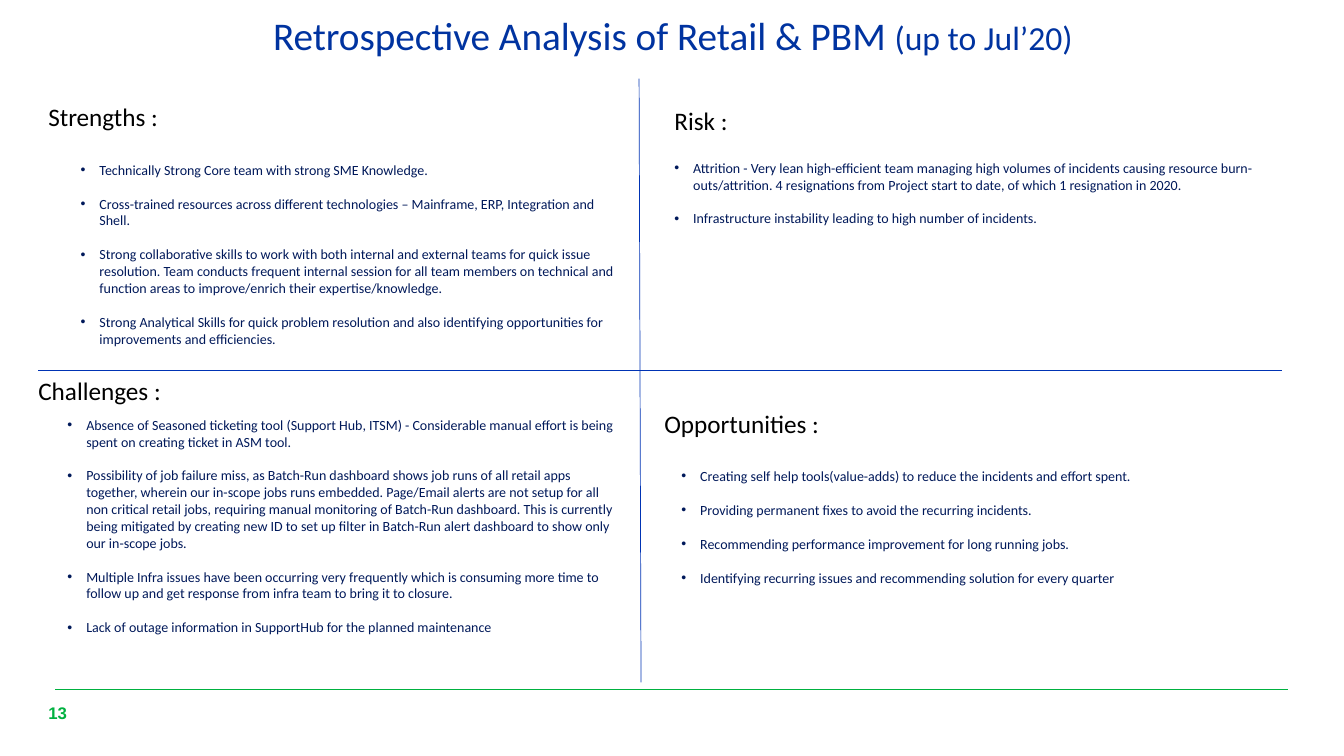
from dataclasses import dataclass

import pptx
import pptx.dml.color
import pptx.enum.shapes
import pptx.enum.text
import pptx.oxml.ns
import pptx.slide
import pptx.text.text
import pptx.util
from lxml import etree

Pt = pptx.util.Pt
RGBColor = pptx.dml.color.RGBColor

TITLE_BLUE = RGBColor(0x00, 0x33, 0xA0)
DIVIDER_BLUE = RGBColor(0x00, 0x33, 0xB4)
BODY_NAVY = RGBColor(0x00, 0x19, 0x5A)
HEADING_BLACK = RGBColor(0x00, 0x00, 0x00)
FOOTER_GREEN = RGBColor(0x00, 0xB1, 0x40)

BULLET_INDENT = Pt(13.5)
ITEM_GAP = Pt(12.2)


@dataclass(frozen=True)
class Box:
    left: float
    top: float
    width: float
    height: float


@dataclass(frozen=True)
class Quadrant:
    heading: str
    heading_box: Box
    items_box: Box
    items: tuple[str, ...]


@dataclass(frozen=True)
class Rule:
    start: tuple[float, float]
    end: tuple[float, float]
    color: RGBColor


QUADRANTS = (
    Quadrant(
        "Strengths :",
        Box(34.5, 72.7, 79, 22),
        Box(57.6, 115.2, 388, 158),
        (
            "Technically Strong Core team with strong SME Knowledge.",
            "Cross-trained resources across different technologies – Mainframe, ERP, "
            "Integration and Shell.",
            "Strong collaborative skills to work with both internal and external teams for "
            "quick issue resolution. Team conducts frequent internal session for all team "
            "members on technical and function areas to improve/enrich their "
            "expertise/knowledge.",
            "Strong Analytical Skills for quick problem resolution and also identifying "
            "opportunities for improvements and efficiencies.",
        ),
    ),
    Quadrant(
        "Risk :",
        Box(481.7, 75, 38, 22),
        Box(481.7, 113.7, 424, 73),
        (
            "Attrition - Very lean high-efficient team managing high volumes of incidents "
            "causing resource burn-outs/attrition. 4 resignations from Project start to "
            "date, of which 1 resignation in 2020.",
            "Infrastructure instability leading to high number of incidents.",
        ),
    ),
    Quadrant(
        "Challenges :",
        Box(27.4, 268, 89, 22),
        Box(48.2, 297.3, 393, 182),
        (
            "Absence of Seasoned ticketing tool (Support Hub, ITSM) - Considerable manual "
            "effort is being spent on creating ticket in ASM tool.",
            "Possibility of job failure miss, as Batch-Run dashboard shows job runs of all "
            "retail apps together, wherein our in-scope jobs runs embedded. Page/Email "
            "alerts are not setup for all non critical retail jobs, requiring manual "
            "monitoring of Batch-Run dashboard. This is currently being mitigated by "
            "creating new ID to set up filter in Batch-Run alert dashboard to show only "
            "our in-scope jobs.",
            "Multiple Infra issues have been occurring very frequently which is consuming "
            "more time to follow up and get response from infra team to bring it to closure.",
            "Lack of outage information in SupportHub for the planned maintenance",
        ),
    ),
    Quadrant(
        "Opportunities :",
        Box(474.5, 291.6, 112, 22),
        Box(486.7, 334, 388, 109),
        (
            "Creating self help tools(value-adds) to reduce the incidents and effort spent.",
            "Providing permanent fixes to avoid the recurring incidents.",
            "Recommending performance improvement for long running jobs.",
            "Identifying recurring issues and recommending solution for every quarter",
        ),
    ),
)

RULES = (
    Rule((39.6, 492.5), (920.2, 492.5), FOOTER_GREEN),
    Rule((456.5, 56.2), (457.9, 487.4), DIVIDER_BLUE),
    Rule((27.4, 264.2), (915.8, 264.2), DIVIDER_BLUE),
)


def clear_margins(frame: pptx.text.text.TextFrame) -> None:
    frame.margin_left = frame.margin_right = Pt(0)
    frame.margin_top = frame.margin_bottom = Pt(0)


def add_run(
    paragraph: pptx.text.text._Paragraph,
    text: str,
    size: float,
    color: RGBColor,
    font: str = "Calibri",
    bold: bool = False,
) -> None:
    run = paragraph.add_run()
    run.text = text
    run.font.size = Pt(size)
    run.font.name = font
    run.font.bold = bold
    run.font.color.rgb = color


def add_text_frame(
    slide: pptx.slide.Slide, box: Box, wrap: bool = True
) -> pptx.text.text.TextFrame:
    frame = slide.shapes.add_textbox(
        Pt(box.left), Pt(box.top), Pt(box.width), Pt(box.height)
    ).text_frame
    clear_margins(frame)
    frame.word_wrap = wrap
    return frame


def set_bullet(paragraph: pptx.text.text._Paragraph) -> None:
    properties = paragraph._p.get_or_add_pPr()
    properties.set("marL", str(BULLET_INDENT))
    properties.set("indent", str(-BULLET_INDENT))
    bullet_font = etree.SubElement(properties, pptx.oxml.ns.qn("a:buFont"))
    bullet_font.set("typeface", "Arial")
    etree.SubElement(properties, pptx.oxml.ns.qn("a:buChar")).set("char", "•")


def add_title(slide: pptx.slide.Slide) -> None:
    title = slide.shapes.title
    title.left, title.top, title.width, title.height = Pt(40.3), Pt(12.2), Pt(880.6), Pt(51.8)
    frame = title.text_frame
    clear_margins(frame)
    frame.word_wrap = True
    frame.auto_size = pptx.enum.text.MSO_AUTO_SIZE.NONE
    frame.vertical_anchor = pptx.enum.text.MSO_ANCHOR.TOP
    line = frame.paragraphs[0]
    line.alignment = pptx.enum.text.PP_ALIGN.CENTER
    line.line_spacing = 0.9
    add_run(line, "Retrospective Analysis of Retail & PBM ", 28, TITLE_BLUE)
    add_run(line, "(up to Jul’20)", 24, TITLE_BLUE)


def add_rule(slide: pptx.slide.Slide, rule: Rule) -> None:
    connector = slide.shapes.add_connector(
        pptx.enum.shapes.MSO_CONNECTOR.STRAIGHT, *map(Pt, rule.start + rule.end)
    )
    connector.line.color.rgb = rule.color
    connector.line.width = Pt(0.5)
    etree.SubElement(connector._element.spPr, pptx.oxml.ns.qn("a:effectLst"))


def add_quadrant(slide: pptx.slide.Slide, quadrant: Quadrant) -> None:
    heading = add_text_frame(slide, quadrant.heading_box, wrap=False)
    add_run(heading.paragraphs[0], quadrant.heading, 18, HEADING_BLACK)
    body = add_text_frame(slide, quadrant.items_box)
    for index, item in enumerate(quadrant.items):
        paragraph = body.add_paragraph() if index else body.paragraphs[0]
        set_bullet(paragraph)
        if index:
            paragraph.space_before = ITEM_GAP
        add_run(paragraph, item, 10, BODY_NAVY)


def add_page_number(slide: pptx.slide.Slide) -> None:
    frame = add_text_frame(slide, Box(34.5, 501, 24, 16.6))
    frame.vertical_anchor = pptx.enum.text.MSO_ANCHOR.MIDDLE
    add_run(frame.paragraphs[0], "13", 12, FOOTER_GREEN, font="Arial", bold=True)


def main() -> None:
    deck = pptx.Presentation()
    deck.slide_width, deck.slide_height = Pt(960), Pt(540)
    slide = deck.slides.add_slide(deck.slide_layouts.get_by_name("Title Only"))
    add_title(slide)
    for rule in RULES:
        add_rule(slide, rule)
    for quadrant in QUADRANTS:
        add_quadrant(slide, quadrant)
    add_page_number(slide)
    deck.save("out.pptx")


if __name__ == "__main__":
    main()
